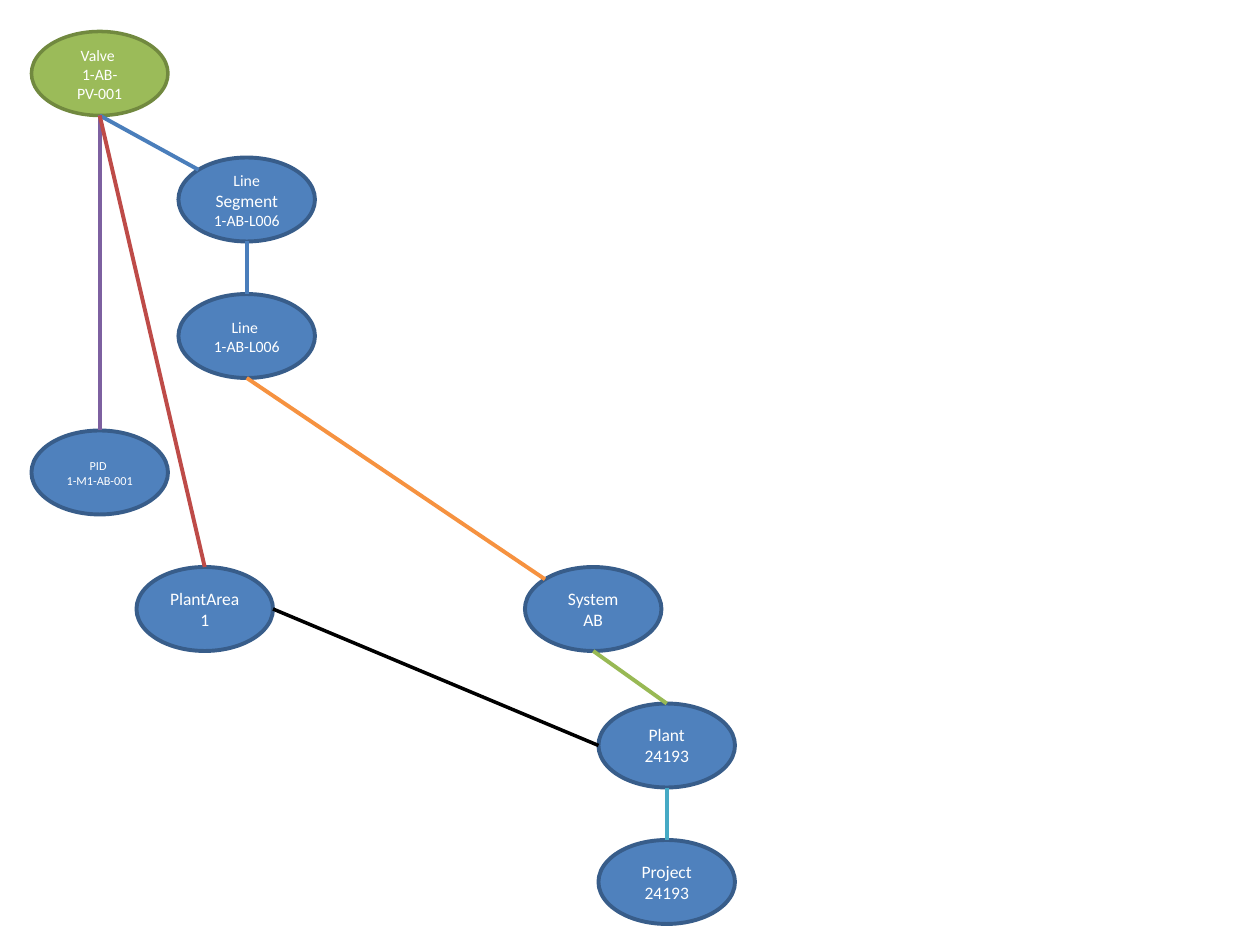
from math import sqrt

from lxml.etree import SubElement
from pptx import Presentation
from pptx.dml.color import RGBColor
from pptx.enum.shapes import MSO_CONNECTOR as Connector, MSO_SHAPE as Shape
from pptx.enum.text import MSO_ANCHOR as Anchor, PP_ALIGN as Align
from pptx.oxml.ns import qn
from pptx.util import Pt

PX = 7620  # EMU, 120 px to the inch
NODE_W, NODE_H = 130, 80
FONT = "Calibri"
COLORS = {
    "node": "4F81BD", "node edge": "385D8A",
    "valve": "9BBB59", "valve edge": "71893F", "text": "FFFFFF",
    "line": "4A7EBB", "pid": "7D60A0", "area": "BE4B48", "system": "F69240",
    "plant": "98B954", "area plant": "000000", "project": "46AAC5",
}

# name: left, top, text size, lines of (text, size) runs
NODES = {
    "area": (130, 540, 10, [[("PlantArea1", None)]]),
    "line": (170, 280, 9, [[("Line", 9), (" ", 10)], [("1-AB-L006", 9)]]),
    "pid": (30, 410, 7, [[("PID", 7), (" ", 8)], [("1-M1-AB-001", 7)]]),
    "project": (570, 800, 10, [[("Project", None)], [("24193", None)]]),
    "system": (500, 540, 10, [[("System AB", None)]]),
    "valve": (30, 30, 9, [[("Valve", 9), (" ", 10)], [("1-AB-PV-001", 9)]]),
    "segment": (170, 150, 9, [[("Line", 9), (" Segment", 10)], [("1-AB-L006", 9)]]),
    "plant": (570, 670, 10, [[("Plant", None)], [("24193", None)]]),
}

# from node, side, to node, side, colour, width
LINKS = [
    ("valve", "bottom", "segment", "top left", "line", 2.25),
    ("valve", "bottom", "pid", "top", "pid", 2.25),
    ("segment", "bottom", "line", "top", "line", 2.25),
    ("line", "bottom", "system", "top left", "system", 2.25),
    ("valve", "bottom", "area", "top", "area", 2.25),
    ("system", "bottom", "plant", "top", "plant", 2.25),
    ("plant", "left", "area", "right", "area plant", 2),
    ("plant", "bottom", "project", "top", "project", 2.25),
]

DIAGONAL = (1 - sqrt(0.5)) / 2
SIDES = {"top": (0.5, 0), "bottom": (0.5, 1), "left": (0, 0.5),
         "right": (1, 0.5), "top left": (DIAGONAL, DIAGONAL)}


def rgb(name):
    return RGBColor.from_string(COLORS[name])


def add_node(slide, left, top, size, lines, fill, edge_width):
    node = slide.shapes.add_shape(
        Shape.OVAL, left * PX, top * PX, NODE_W * PX, NODE_H * PX)
    node.shadow.inherit = False
    node.fill.solid()
    node.fill.fore_color.rgb = rgb(fill)
    node.line.color.rgb = rgb(fill + " edge")
    node.line.width = Pt(edge_width)

    frame = node.text_frame
    frame.word_wrap = True
    frame.vertical_anchor = Anchor.MIDDLE
    label = frame.paragraphs[0]
    label.alignment = Align.CENTER
    label.font.name = FONT
    label.font.size = Pt(size)
    label.font.color.rgb = rgb("text")
    for number, line in enumerate(lines):
        if number:
            label.add_line_break()
        for text, run_size in line:
            run = label.add_run()
            run.text = text
            if run_size:
                run.font.size = Pt(run_size)
    return node


def side_point(node, side):
    across, down = SIDES[side]
    return (round(node.left + across * node.width),
            round(node.top + down * node.height))


def add_link(slide, start, start_side, end, end_side, color, width):
    link = slide.shapes.add_connector(
        Connector.STRAIGHT, *side_point(start, start_side),
        *side_point(end, end_side))
    # Only the top site of an oval has the same number as on a rectangle
    if end_side == "top":
        link.end_connect(end, 0)
    link.line.color.rgb = rgb(color)
    link.line.width = Pt(width)
    SubElement(link._element.spPr, qn("a:effectLst"))


def add_hierarchy(slide):
    nodes = {}
    for name, (left, top, size, lines) in NODES.items():
        fill, edge_width = ("valve", 2) if name == "valve" else ("node", 2.25)
        nodes[name] = add_node(slide, left, top, size, lines, fill, edge_width)
    for start, start_side, end, end_side, color, width in LINKS:
        add_link(slide, nodes[start], start_side, nodes[end], end_side, color, width)


def main():
    deck = Presentation()
    deck.slide_width, deck.slide_height = 1200 * PX, 900 * PX
    add_hierarchy(deck.slides.add_slide(deck.slide_layouts[6]))
    deck.save("out.pptx")


if __name__ == "__main__":
    main()
